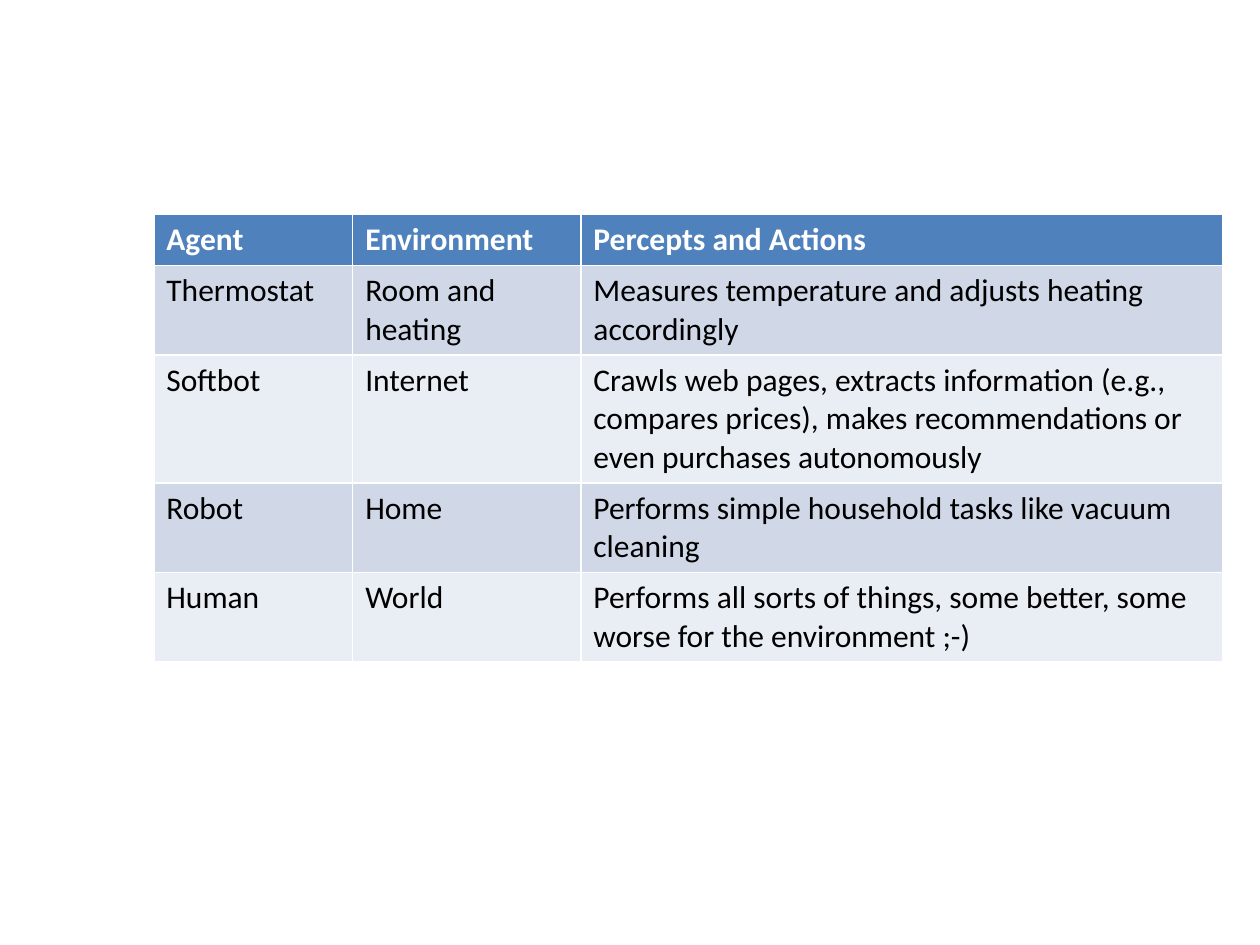
"""Build a slide with a table of agents, their environments and behaviour."""
from pptx import Presentation
from pptx import util as u
from pptx.dml import color


def paint(fill, value):
    fill.solid()
    fill.fore_color.rgb = color.RGBColor.from_string(value)


agents = [
    ("Agent", "Environment", "Percepts and Actions"),
    ("Thermostat", "Room and heating",
     "Measures temperature and adjusts heating accordingly"),
    ("Softbot", "Internet",
     "Crawls web pages, extracts information (e.g., compares prices), "
     "makes recommendations or even purchases autonomously"),
    ("Robot", "Home", "Performs simple household tasks like vacuum cleaning"),
    ("Human", "World",
     "Performs all sorts of things, some better, some worse for the environment ;-)"),
]
widths = [4.01, 4.6, 12.95]
bands = ["E9EDF4", "D0D8E8"]

deck = Presentation()
deck.slide_width, deck.slide_height = u.Cm(25.4), u.Cm(19.05)
slide = deck.slides.add_slide(deck.slide_layouts[6])

overview = slide.shapes.add_table(
    len(agents), len(widths), u.Cm(3.1), u.Cm(4.32), u.Cm(sum(widths)), u.Cm(8.92)
).table
for column, width in zip(overview.columns, widths):
    column.width = u.Cm(width)

for index, agent in enumerate(agents):
    heading = index == 0
    overview.rows[index].height = u.Cm(1.03)
    for cell, wording in zip(overview.rows[index].cells, agent):
        cell.text = wording
        paint(cell.fill, "4F81BD" if heading else bands[index % 2])
        font = cell.text_frame.paragraphs[0].font
        font.name, font.size, font.bold = "Calibri", u.Pt(18), heading
        paint(font.fill, "FFFFFF" if heading else "000000")

deck.save("out.pptx")
